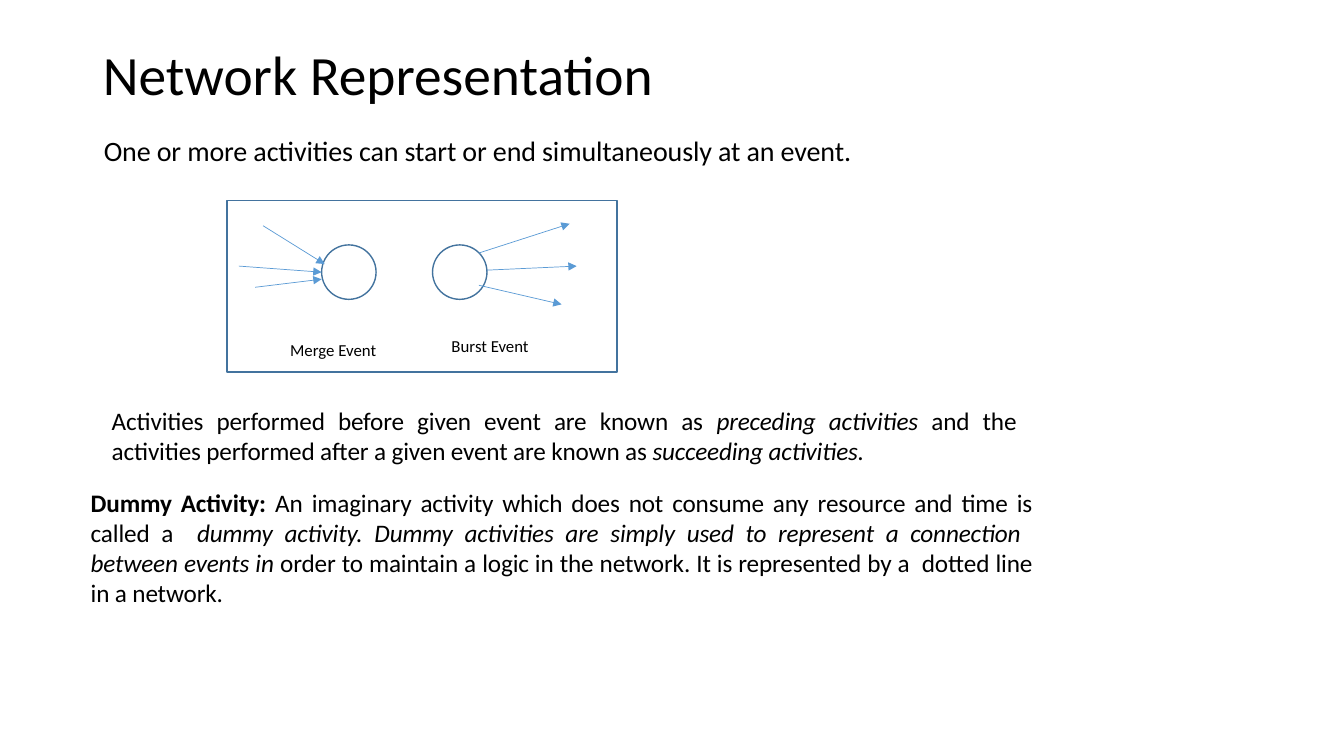
from dataclasses import dataclass

from lxml import etree
from pptx import Presentation
from pptx.dml.color import RGBColor
from pptx.enum.shapes import MSO_CONNECTOR, MSO_SHAPE
from pptx.enum.text import MSO_ANCHOR, MSO_AUTO_SIZE, PP_ALIGN
from pptx.oxml.ns import qn
from pptx.util import Inches, Pt

STRAIGHT = MSO_CONNECTOR.STRAIGHT
RECTANGLE, OVAL = MSO_SHAPE.RECTANGLE, MSO_SHAPE.OVAL
LEFT, JUSTIFY = PP_ALIGN.LEFT, PP_ALIGN.JUSTIFY
MIDDLE, TOP = MSO_ANCHOR.MIDDLE, MSO_ANCHOR.TOP
NO_AUTOFIT = MSO_AUTO_SIZE.NONE

FONT = "Calibri"
COLORS = {"text": "000000", "paper": "FFFFFF", "outline": "43739E", "arrow": "5B9BD5"}
EVENT_TOP, EVENT_SIZE = 2.43, 0.54
TIGHT = -0.1


@dataclass(frozen=True)
class Span:
    text: str
    bold: bool = False
    italic: bool = False


@dataclass(frozen=True)
class TextBlock:
    box: tuple[float, float, float, float]
    size: float
    spans: tuple[Span, ...]
    align: PP_ALIGN = JUSTIFY
    spacing: float = TIGHT
    space_before: float = 0
    margins: tuple[float, float, float, float] = (0.1, 0.05, 0.1, 0.05)


@dataclass(frozen=True)
class Event:
    left: float
    arrows: tuple[tuple[float, float, float, float], ...]
    label: TextBlock


TITLE = TextBlock((0.92, 0.4, 11.19, 0.73), 39.6, (Span("Network Representation"),), LEFT, 0)

EVENTS = (
    Event(
        3.19,
        ((2.61, 2.24, 3.22, 2.62), (2.53, 2.85, 3.19, 2.77), (2.37, 2.64, 3.19, 2.7)),
        TextBlock((2.78, 3.32, 1.16, 0.3), 12, (Span("Merge Event"),), LEFT, 0),
    ),
    Event(
        4.29,
        ((4.75, 2.51, 5.65, 2.22), (4.83, 2.68, 5.72, 2.64), (4.75, 2.83, 5.57, 3.02)),
        TextBlock((4.38, 3.28, 1.16, 0.3), 12, (Span("Burst Event"),), LEFT, 0),
    ),
)

INTRODUCTION = TextBlock(
    (0.92, 1.28, 11.5, 6.22),
    20,
    (Span("One or more activities can start or end simultaneously at an event."),),
    space_before=0.9,
    margins=(0.11, 0.05, 0.1, 0.05),
)

DEFINITIONS = (
    TextBlock(
        (1.01, 3.97, 9.3, 0.71),
        18,
        (
            Span("Activities performed before given event are known as "),
            Span("preceding activities ", italic=True),
            Span("and the  activities performed after a given event are known as "),
            Span("succeeding activities.", italic=True),
        ),
    ),
    TextBlock(
        (0.9, 4.82, 9.34, 1.23),
        18,
        (
            Span("Dummy Activity: ", bold=True),
            Span("An imaginary activity which does not consume any resource and time is called a  "),
            Span(
                "dummy activity. Dummy activities are simply used to represent a "
                "connection  between events in ",
                italic=True,
            ),
            Span(
                "order to maintain a logic in the network. It is represented by a  "
                "dotted line in a network."
            ),
        ),
        space_before=1,
        margins=(0, 0.01, 0, 0),
    ),
)


def rgb(name: str) -> RGBColor:
    return RGBColor.from_string(COLORS[name])


def write_text(shape, block: TextBlock, anchor: MSO_ANCHOR = TOP) -> None:
    frame = shape.text_frame
    frame.word_wrap = True
    frame.auto_size = NO_AUTOFIT
    frame.vertical_anchor = anchor
    (frame.margin_left, frame.margin_top,
     frame.margin_right, frame.margin_bottom) = map(Inches, block.margins)
    paragraph = frame.paragraphs[0]
    paragraph.alignment = block.align
    paragraph.space_before = Pt(block.space_before)
    for span in block.spans:
        run = paragraph.add_run()
        run.text = span.text
        run.font.name = FONT
        run.font.size = Pt(block.size)
        run.font.bold = span.bold
        run.font.italic = span.italic
        run.font.color.rgb = rgb("text")
        if block.spacing:
            run._r.get_or_add_rPr().set("spc", str(round(block.spacing * 100)))


def add_text(slide, block: TextBlock) -> None:
    write_text(slide.shapes.add_textbox(*map(Inches, block.box)), block)


def add_outlined(slide, kind: MSO_SHAPE, box: tuple[float, float, float, float]) -> None:
    shape = slide.shapes.add_shape(kind, *map(Inches, box))
    shape.shadow.inherit = False
    shape.fill.solid()
    shape.fill.fore_color.rgb = rgb("paper")
    shape.line.color.rgb = rgb("outline")
    shape.line.width = Pt(1)


def add_arrow(slide, ends: tuple[float, float, float, float]) -> None:
    arrow = slide.shapes.add_connector(STRAIGHT, *map(Inches, ends))
    arrow.line.color.rgb = rgb("arrow")
    arrow.line.width = Pt(0.5)
    etree.SubElement(arrow.line._get_or_add_ln(), qn("a:tailEnd"), type="triangle")
    etree.SubElement(arrow._element.spPr, qn("a:effectLst"))


def add_title(slide) -> None:
    title = slide.shapes.title
    title.left, title.top, title.width, title.height = map(Inches, TITLE.box)
    write_text(title, TITLE, MIDDLE)
    title.text_frame.paragraphs[0].line_spacing = 0.9


def main() -> None:
    deck = Presentation()
    deck.slide_width, deck.slide_height = Inches(13.33), Inches(7.5)
    slide = deck.slides.add_slide(deck.slide_layouts[5])
    add_title(slide)
    add_text(slide, INTRODUCTION)
    add_outlined(slide, RECTANGLE, (2.25, 1.99, 3.87, 1.7))
    for event in EVENTS:
        add_outlined(slide, OVAL, (event.left, EVENT_TOP, EVENT_SIZE, EVENT_SIZE))
        for ends in event.arrows:
            add_arrow(slide, ends)
        add_text(slide, event.label)
    for definition in DEFINITIONS:
        add_text(slide, definition)
    deck.save("out.pptx")


if __name__ == "__main__":
    main()
